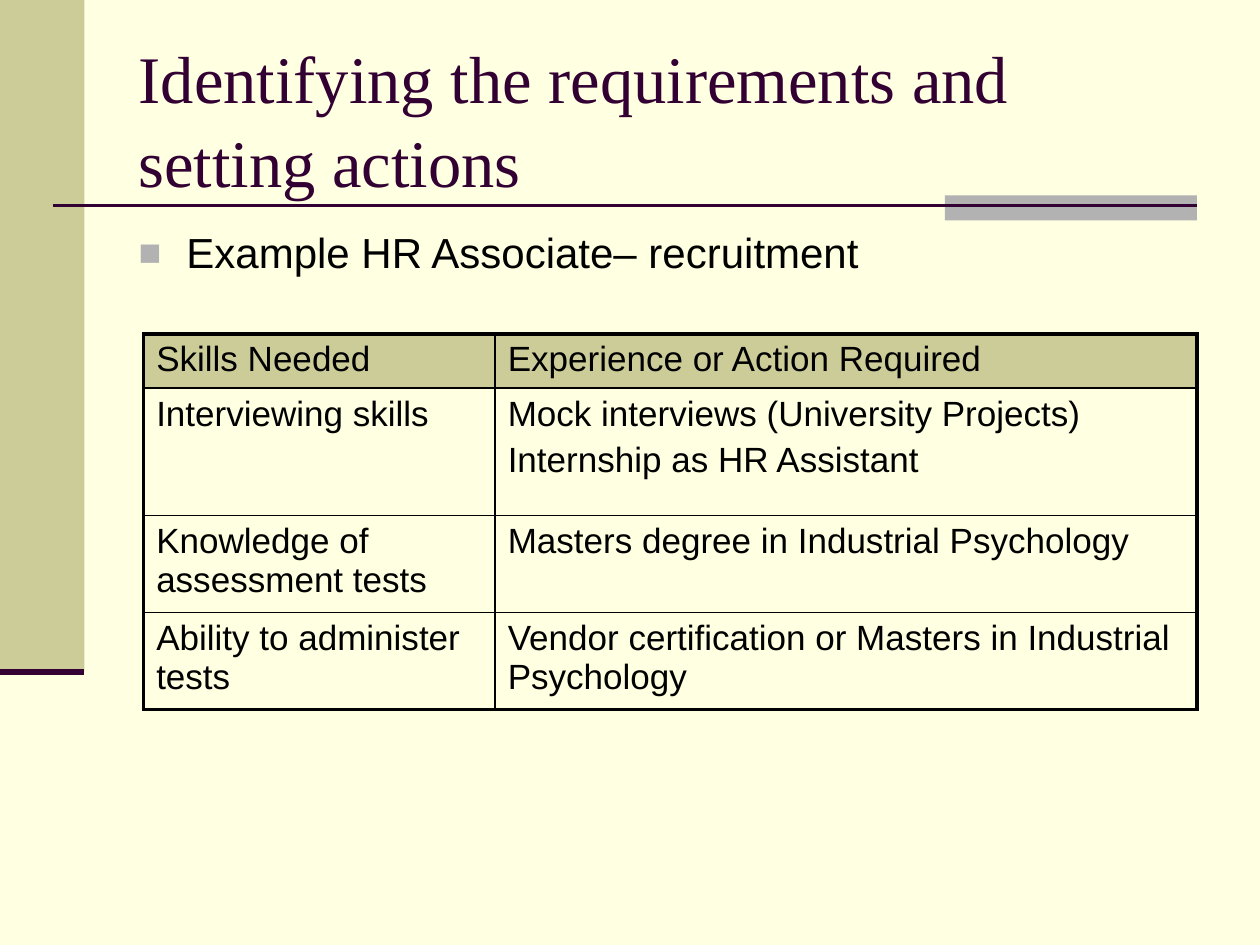
from lxml.etree import SubElement
from pptx import Presentation
from pptx.dml.color import RGBColor
from pptx.enum.shapes import MSO_CONNECTOR as Connector, MSO_SHAPE as Shape
from pptx.enum.text import MSO_ANCHOR as Anchor, MSO_AUTO_SIZE as AutoSize
from pptx.oxml.ns import qn
from pptx.util import Inches, Pt

COLORS = {"paper": "FFFFE1", "olive": "CCCC99", "gray": "B2B2B2",
          "plum": "330033", "ink": "000000"}
COLUMNS, ROWS = 100, 75
THIN, THICK = 1, 2.25

SKILLS = [
    ("Skills Needed", "Experience or Action Required"),
    ("Interviewing skills",
     "Mock interviews (University Projects)\nInternship as HR Assistant"),
    ("Knowledge of assessment tests", "Masters degree in Industrial Psychology"),
    ("Ability to administer tests",
     "Vendor certification or Masters in Industrial Psychology"),
]


def color(name):
    return RGBColor.from_string(COLORS[name])


def write(frame, text, font="Arial", size=20, ink="ink", gap=0, spacing=None):
    frame.text = text
    frame.word_wrap = True
    for index, para in enumerate(frame.paragraphs):
        para.space_before = Pt(gap if index else 0)
        if spacing:
            para.line_spacing = spacing
        for span in para.runs:
            span.font.name = font
            span.font.size = Pt(size)
            span.font.color.rgb = color(ink)


class SlideBuilder:
    def __init__(self, deck):
        self.deck = deck
        self.page = deck.slides.add_slide(deck.slide_layouts[1])
        fill = self.page.background.fill
        fill.solid()
        fill.fore_color.rgb = color("paper")

    def x(self, columns):
        return int(self.deck.slide_width * columns / COLUMNS)

    def y(self, rows):
        return int(self.deck.slide_height * rows / ROWS)

    def area(self, left, top, width, height):
        return self.x(left), self.y(top), self.x(width), self.y(height)

    def band(self, *place, fill):
        box = self.page.shapes.add_shape(Shape.RECTANGLE, *self.area(*place))
        box.shadow.inherit = False
        box.fill.solid()
        box.fill.fore_color.rgb = color(fill)
        box.line.fill.background()

    def rule(self, start, end, row, weight):
        line = self.page.shapes.add_connector(
            Connector.STRAIGHT, self.x(start), self.y(row), self.x(end), self.y(row))
        line.line.color.rgb = color("plum")
        line.line.width = Pt(weight)
        SubElement(line._element.spPr, qn("a:effectLst"))

    def placeholder(self, index, text, *place, anchor, **style):
        box = self.page.placeholders[index]
        box.left, box.top, box.width, box.height = self.area(*place)
        write(box.text_frame, text, **style)
        box.text_frame.auto_size = AutoSize.NONE
        box.text_frame.vertical_anchor = anchor
        return box

    def title(self, text, *place):
        box = self.placeholder(0, text, *place, anchor=Anchor.MIDDLE,
                               font="Times New Roman", size=38, ink="plum",
                               spacing=1.05)
        for para in box.text_frame.paragraphs:
            para.alignment = 1

    def bullets(self, text, *place):
        box = self.placeholder(1, text, *place, anchor=Anchor.TOP, size=24)
        for para in box.text_frame.paragraphs:
            props = para._p.get_or_add_pPr()
            props.set("marL", str(Inches(0.38)))
            props.set("indent", str(Inches(-0.38)))
            tint = SubElement(props, qn("a:buClr"))
            SubElement(tint, qn("a:srgbClr"), val=COLORS["gray"])
            SubElement(props, qn("a:buSzPct"), val="90000")
            SubElement(props, qn("a:buFont"), typeface="Arial")
            SubElement(props, qn("a:buChar"), char="■")

    def borders(self, cell, weights):
        props = cell._tc.get_or_add_tcPr()
        for index, (side, weight) in enumerate(weights.items()):
            line = SubElement(props, qn(f"a:ln{side}"), w=str(Pt(weight)))
            props.insert(index, line)
            fill = SubElement(line, qn("a:solidFill"))
            SubElement(fill, qn("a:srgbClr"), val=COLORS["ink"])

    def table(self, rows, left, top, widths, heights):
        place = self.area(left, top, sum(widths), sum(heights))
        grid = self.page.shapes.add_table(len(rows), len(widths), *place).table
        grid.horz_banding = False
        for column, width in zip(grid.columns, widths):
            column.width = self.x(width)
        last_row, last_column = len(rows) - 1, len(widths) - 1
        for r, texts in enumerate(rows):
            grid.rows[r].height = self.y(heights[r])
            for c, text in enumerate(texts):
                cell = grid.cell(r, c)
                write(cell.text_frame, text, gap=4)
                cell.fill.solid()
                cell.fill.fore_color.rgb = color("paper" if r else "olive")
                self.borders(cell, {
                    "L": THIN if c else THICK,
                    "R": THICK if c == last_column else THIN,
                    "T": THIN if r else THICK,
                    "B": THICK if r == last_row else THIN,
                })


def main():
    deck = Presentation()
    deck.slide_width, deck.slide_height = Inches(10), Inches(7.5)
    slide = SlideBuilder(deck)
    slide.band(0, 0, 6.7, 53.3, fill="olive")
    slide.band(75, 15.5, 20, 2, fill="gray")
    slide.rule(4.2, 95, 16.3, weight=1.5)
    slide.rule(0, 6.7, 53.3, weight=3.5)
    slide.title("Identifying the requirements and setting actions", 10, 3, 85, 12.5)
    slide.bullets("Example HR Associate– recruitment", 10, 17.5, 85.7, 49.5)
    slide.table(SKILLS, 11.4, 26.5, widths=(27.9, 55.7), heights=(4.3, 10.1, 7.7, 7.7))
    deck.save("out.pptx")


if __name__ == "__main__":
    main()
